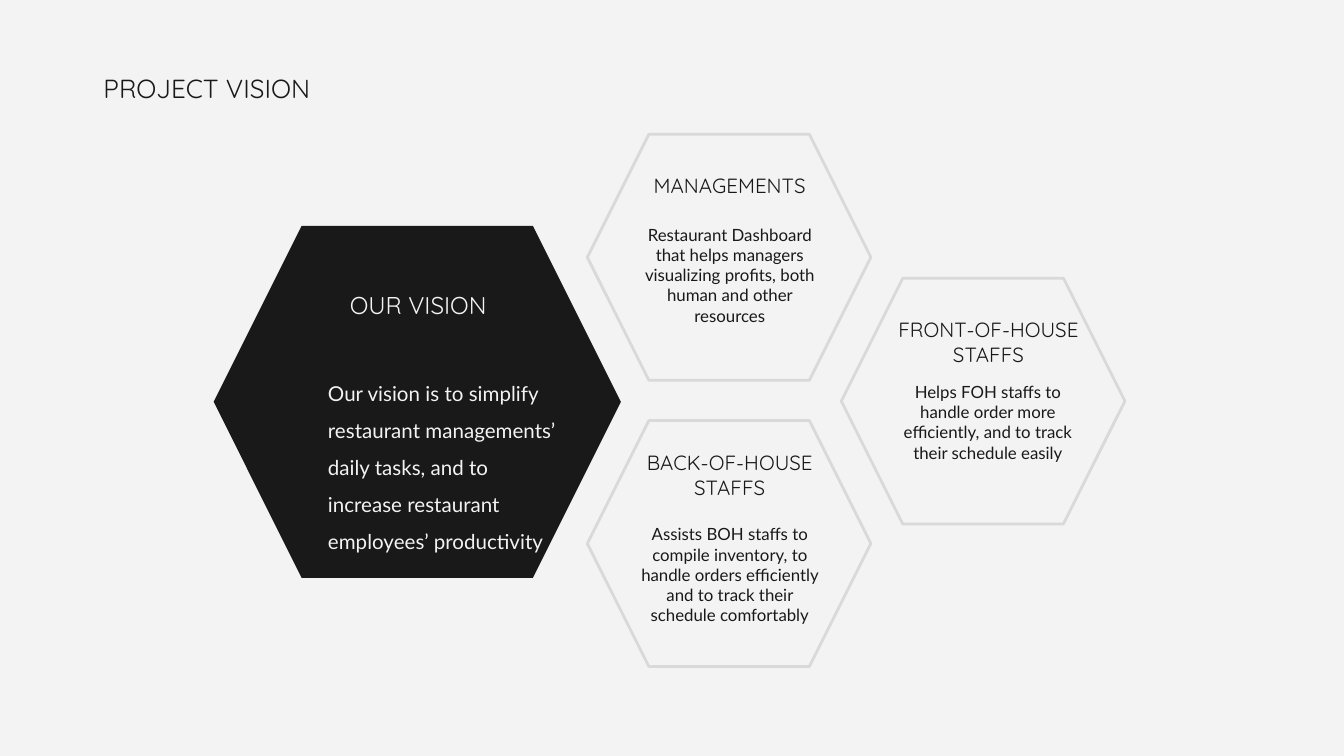
from collections import namedtuple
from dataclasses import dataclass

from lxml.etree import SubElement
from pptx import Presentation
from pptx.dml.color import RGBColor as RGB
from pptx.enum.shapes import MSO_SHAPE as Shape
from pptx.enum.text import MSO_ANCHOR as Anchor, MSO_AUTO_SIZE as Fit, PP_ALIGN as Align
from pptx.oxml.ns import qn
from pptx.util import Inches, Pt


@dataclass(frozen=True)
class Theme:
    dark = RGB(0x19, 0x19, 0x19)
    light = RGB(0xF3, 0xF3, 0xF3)
    edge = RGB(0xD9, 0xD9, 0xD9)
    head = "Quicksand"
    body = "Lato"
    title_size = 14
    vision_size = 13
    text_size = 11
    note_size = 9


Box = namedtuple("Box", "x y w h")
# Text offsets are measured from the top left corner of the hexagon.
Card = namedtuple("Card", "x y head head_box note note_box")

CARD_W, CARD_H = 2.11, 1.83
CARDS = [
    Card(4.37, 1, "MANAGEMENTS", Box(0.34, 0.19, 1.44, 0.36),
         "Restaurant Dashboard that helps managers visualizing profits, "
         "both human and other resources", Box(0.24, 0.57, 1.64, 1.06)),
    Card(4.37, 3.13, "BACK-OF-HOUSE STAFFS", Box(0.24, 0.12, 1.64, 0.36),
         "Assists BOH staffs to compile inventory, to handle orders "
         "efficiently and to track their schedule comfortably",
         Box(0.24, 0.67, 1.64, 1.06)),
    Card(6.26, 2.07, "FRONT-OF-HOUSE STAFFS", Box(0.24, 0.19, 1.71, 0.36),
         "Helps FOH staffs to handle order more efficiently, and to track "
         "their schedule easily", Box(0.27, 0.67, 1.64, 1.06)),
]


def inside(box, part):
    return Box(box.x + part.x, box.y + part.y, part.w, part.h)


def place(shape, box):
    shape.left, shape.top, shape.width, shape.height = map(Inches, box)


def drop_bullet(para):
    props = para._p.get_or_add_pPr()
    props.set("marL", "0")
    props.set("indent", "0")
    SubElement(props, qn("a:buNone"))


def write(shape, box, text, font, size, color, align=Align.CENTER, spacing=1.0):
    place(shape, box)
    frame = shape.text_frame
    frame.text = text
    frame.word_wrap = True
    frame.auto_size = Fit.NONE
    frame.vertical_anchor = Anchor.TOP
    frame.margin_left = frame.margin_right = Inches(0.1)
    frame.margin_top = frame.margin_bottom = Inches(0.1)
    para = frame.paragraphs[0]
    drop_bullet(para)
    para.alignment = align
    para.line_spacing = spacing
    para.space_before = Pt(0)
    para.font.name = font
    para.font.size = Pt(size)
    para.font.color.rgb = color


def add_text(slide, box, *args):
    write(slide.shapes.add_textbox(0, 0, 0, 0), box, *args)


def add_hex(slide, box, fill, edge=None):
    cell = slide.shapes.add_shape(Shape.HEXAGON, *map(Inches, box))
    cell.shadow.inherit = False
    cell.fill.solid()
    cell.fill.fore_color.rgb = fill
    if edge is None:
        cell.line.fill.background()
    else:
        cell.line.color.rgb = edge
        cell.line.width = Pt(1.5)


def add_vision(slide, box, theme):
    add_hex(slide, box, theme.dark)
    add_text(slide, inside(box, Box(0.71, 0.38, 1.62, 0.51)), "OUR VISION",
             theme.head, theme.vision_size, theme.light)
    body = slide.placeholders[1]
    slide.shapes._spTree.append(body._element)  # bring in front of the hexagon
    write(body, inside(box, Box(0.75, 0.96, 1.9, 1.6)),
          "Our vision is to simplify restaurant managements’ daily tasks, "
          "and to increase restaurant employees’ productivity",
          theme.body, theme.text_size, theme.light, Align.LEFT, 1.5)


def add_card(slide, card, theme):
    box = Box(card.x, card.y, CARD_W, CARD_H)
    add_hex(slide, box, theme.light, theme.edge)
    add_text(slide, inside(box, card.head_box), card.head,
             theme.head, theme.text_size, theme.dark)
    add_text(slide, inside(box, card.note_box), card.note,
             theme.body, theme.note_size, theme.dark)


def main():
    theme = Theme()
    deck = Presentation()
    deck.slide_width = Inches(10)
    deck.slide_height = deck.slide_width * 9 // 16
    slide = deck.slides.add_slide(deck.slide_layouts[1])
    back = slide.background.fill
    back.solid()
    back.fore_color.rgb = theme.light
    write(slide.shapes.title, Box(0.67, 0.44, 1.9, 1.03), "PROJECT VISION",
          theme.head, theme.title_size, theme.dark, Align.LEFT)
    add_vision(slide, Box(1.59, 1.68, 3.03, 2.62), theme)
    for card in CARDS:
        add_card(slide, card, theme)
    deck.save("out.pptx")


if __name__ == "__main__":
    main()
